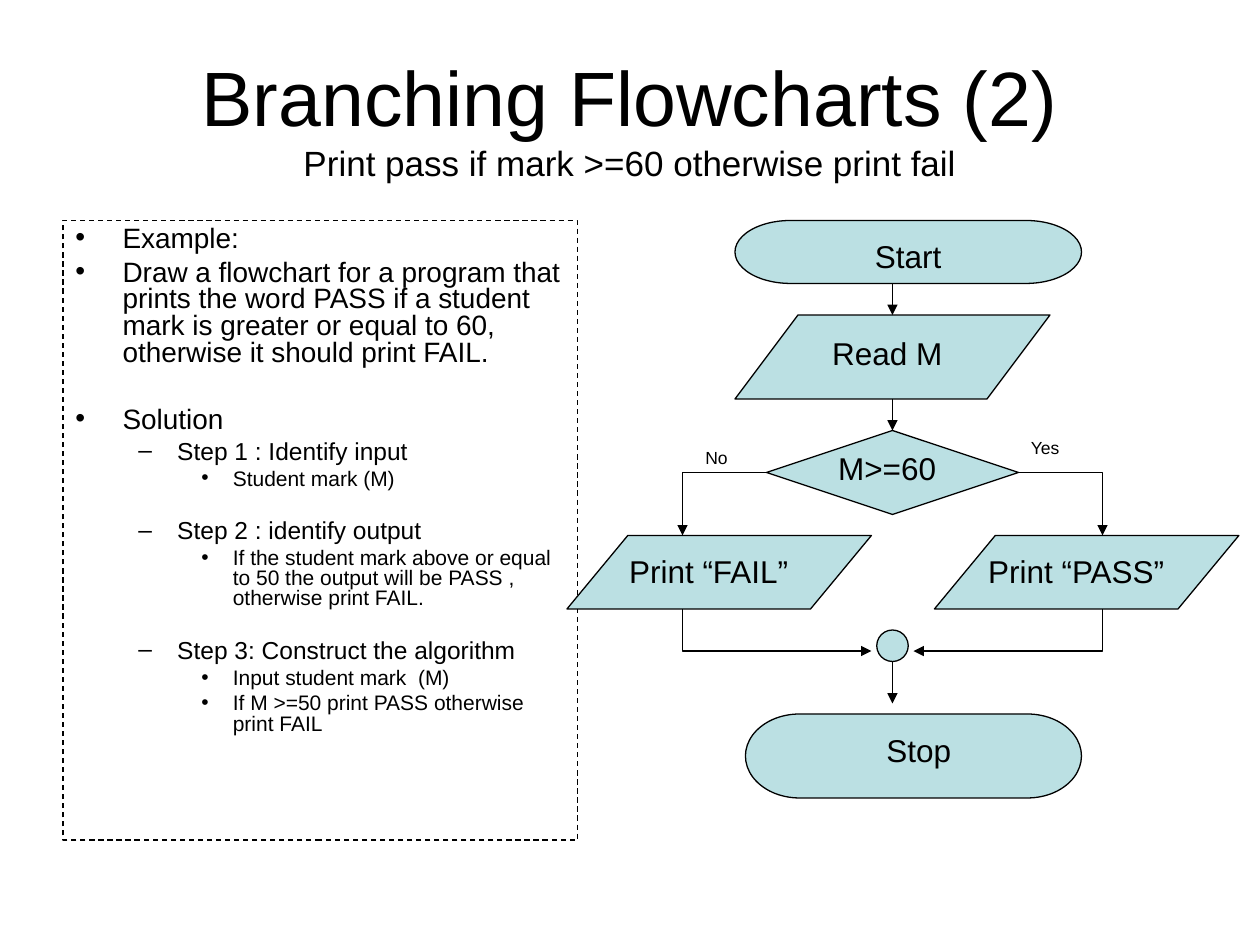
from lxml import etree
from pptx import Presentation
from pptx import util as u
from pptx.dml.color import RGBColor
from pptx.enum import dml, shapes, text
from pptx.oxml.ns import qn

PX = 7620
BLACK = RGBColor(0x00, 0x00, 0x00)
TEAL = RGBColor(0xBB, 0xE0, 0xE3)
FONT = "Arial"
KIND = shapes.MSO_SHAPE
LEFT, MID = text.PP_ALIGN.LEFT, text.PP_ALIGN.CENTER

LEVELS = [(16, 45, 45, 4, "•"), (14, 97, 37, 3.5, "–"), (12, 150, 30, 3, "•")]
STEPS = [
    (0, 0, "Example:"),
    (0, 0, "Draw a flowchart for a program that prints the word PASS if a student "
           "mark is greater or equal to 60, otherwise it should print FAIL."),
    (0, 19, "Solution"),
    (1, 0, "Step 1 : Identify input"),
    (2, 0, "Student mark (M)"),
    (1, 14, "Step 2 : identify output"),
    (2, 0, "If the student mark above or equal to 50 the output will be PASS , "
           "otherwise print FAIL."),
    (1, 14, "Step 3: Construct the algorithm"),
    (2, 0, "Input student mark  (M)"),
    (2, 0, "If M >=50 print PASS otherwise print FAIL"),
]
NODES = [
    (KIND.FLOWCHART_TERMINATOR, (160, 0, 330, 60)),
    (KIND.FLOWCHART_TERMINATOR, (170, 470, 320, 80)),
    (KIND.FLOWCHART_DATA, (160, 90, 300, 80)),
    (KIND.FLOWCHART_DATA, (0, 300, 290, 70)),
    (KIND.FLOWCHART_DATA, (350, 300, 290, 70)),
    (KIND.FLOWCHART_CONNECTOR, (295, 390, 30, 30)),
]
LABELS = [("Start", 210, 10), ("Read M", 190, 102), ("M>=60", 190, 212),
          ("Print “FAIL”", 20, 310), ("Print “PASS”", 370, 310), ("Stop", 220, 480)]
ELBOWS = [
    [(190, 240), (110, 240), (110, 300)],
    [(430, 240), (510, 240), (510, 300)],
    [(110, 370), (110, 410), (290, 410)],
    [(510, 370), (510, 410), (330, 410)],
]


def place(left, top, wide, high):
    """Turn a box in px into EMU."""
    return [n * PX for n in (left, top, wide, high)]


def style(para, size, align=LEFT):
    """Format every run of a paragraph."""
    para.alignment = align
    for run in para.runs:
        run.font.name = FONT
        run.font.size = u.Pt(size)
        run.font.color.rgb = BLACK


def label(slide, box, words, size, align=MID):
    """Add a wrapped text box and return its frame."""
    frame = slide.shapes.add_textbox(*place(*box)).text_frame
    frame.word_wrap = True
    frame.text = words
    style(frame.paragraphs[0], size, align)
    return frame


def edge(shape, fill=None):
    """Give a shape a thin black line and a flat fill or none."""
    shape.shadow.inherit = False
    shape.line.color.rgb = BLACK
    shape.line.width = u.Pt(0.75)
    if fill is None:
        shape.fill.background()
    else:
        shape.fill.solid()
        shape.fill.fore_color.rgb = fill


def node(slide, kind, box):
    """Add one filled flowchart symbol."""
    shape = slide.shapes.add_shape(kind, *place(*box))
    edge(shape, TEAL)
    return shape


def head(shape):
    """Put an arrowhead on the end of a line."""
    etree.SubElement(shape.line._get_or_add_ln(), qn("a:tailEnd"), type="triangle")


def arrow(slide, x, top, end):
    """Add a downward arrow."""
    line = slide.shapes.add_connector(
        shapes.MSO_CONNECTOR.STRAIGHT, x * PX, top * PX, x * PX, end * PX)
    line.line.color.rgb = BLACK
    line.line.width = u.Pt(0.75)
    head(line)
    etree.SubElement(line._element.spPr, qn("a:effectLst"))
    return line


def elbow(slide, left, top, points):
    """Add a bent arrow through points relative to a corner."""
    pen = slide.shapes.build_freeform(*points[0], scale=float(PX))
    pen.add_line_segments(points[1:], close=False)
    shape = pen.convert_to_shape(left * PX, top * PX)
    edge(shape)
    head(shape)


def title(slide, box):
    """Add the title with its smaller second line."""
    frame = label(slide, box,
                  "Branching Flowcharts (2)\vPrint pass if mark >=60 otherwise print fail", 44)
    frame.vertical_anchor = text.MSO_ANCHOR.MIDDLE
    frame.paragraphs[0].runs[1].font.size = u.Pt(20)


def bullet(para, level, gap):
    """Indent, space and mark a paragraph by its level."""
    size, indent, hang, before, mark = LEVELS[level]
    para.level = level
    para.line_spacing = 0.8
    para.space_before = u.Pt(before + gap)
    style(para, size)
    props = para._p.get_or_add_pPr()
    props.set("marL", str(indent * PX))
    props.set("indent", str(-hang * PX))
    color = etree.SubElement(props, qn("a:buClr"))
    etree.SubElement(color, qn("a:srgbClr"), val=str(BLACK))
    etree.SubElement(props, qn("a:buFont"), typeface=FONT)
    etree.SubElement(props, qn("a:buChar"), char=mark)


def steps(slide, box):
    """Add the dashed panel with the worked example."""
    panel = slide.shapes.add_shape(KIND.RECTANGLE, *place(*box))
    edge(panel)
    panel.line.dash_style = dml.MSO_LINE.DASH
    frame = panel.text_frame
    frame.word_wrap = True
    frame.vertical_anchor = text.MSO_ANCHOR.TOP
    frame.text = "\n".join(words for _, _, words in STEPS)
    for para, (level, gap, _) in zip(frame.paragraphs, STEPS):
        bullet(para, level, gap)


def chart(slide, left, top):
    """Add the flowchart with its corner at the given point."""
    for kind, (x, y, wide, high) in NODES:
        node(slide, kind, (left + x, top + y, wide, high))
    test = node(slide, KIND.FLOWCHART_DECISION, (left + 190, top + 200, 240, 80))
    axis = left + 310
    arrow(slide, axis, top + 60, top + 90)
    arrow(slide, axis, top + 170, top + 200).end_connect(test, 0)
    arrow(slide, axis, top + 420, top + 460)
    for points in ELBOWS:
        elbow(slide, left, top, points)
    for words, x, y in LABELS:
        label(slide, (left + x, top + y, 230, 48), words, 18)
    for words, x, y in (("No", 120, 210), ("Yes", 430, 200)):
        label(slide, (left + x, top + y, 90, 32), words, 10, LEFT)


def main():
    """Build and save the slide."""
    deck = Presentation()
    deck.slide_width, deck.slide_height = 1200 * PX, 900 * PX
    slide = deck.slides.add_slide(deck.slide_layouts[6])
    title(slide, (60, 36, 1080, 150))
    steps(slide, (60, 210, 490, 590))
    chart(slide, 540, 210)
    deck.save("out.pptx")


if __name__ == "__main__":
    main()
